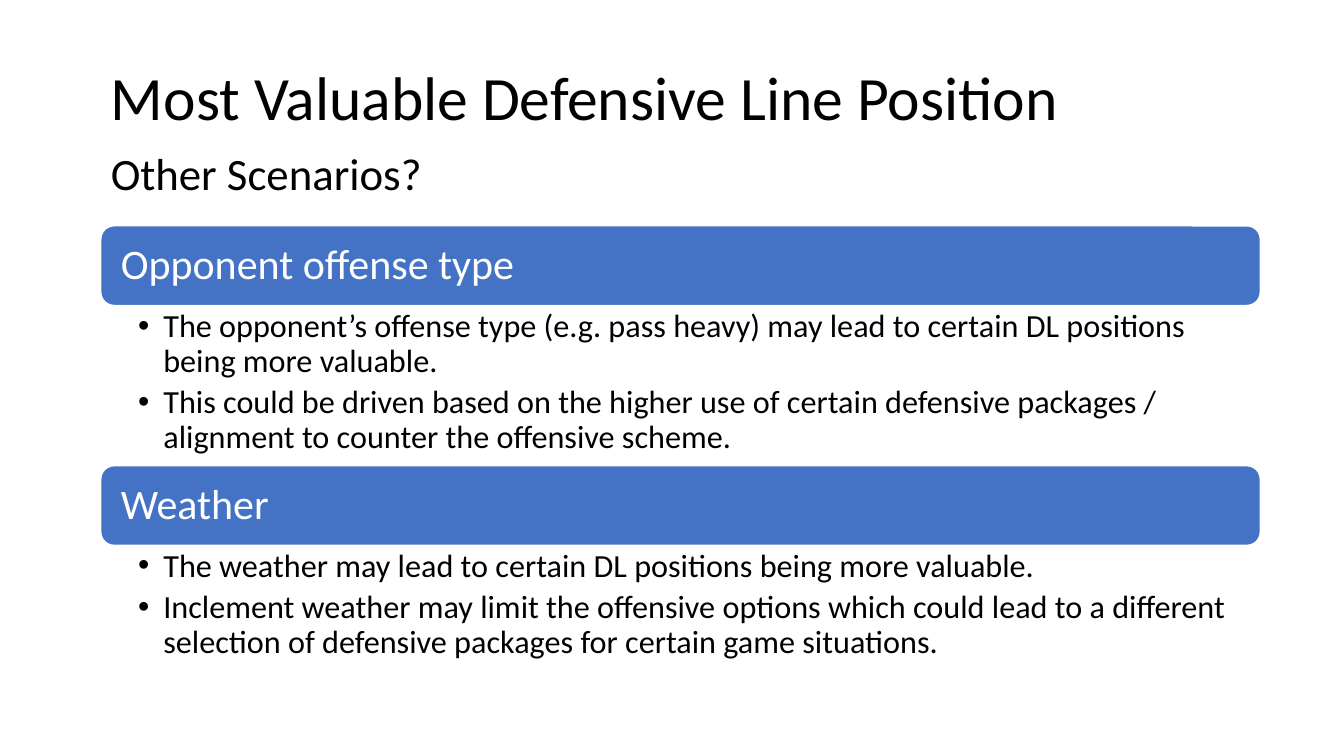
from pptx import Presentation
from pptx.dml.color import RGBColor
from pptx.enum.shapes import MSO_SHAPE
from pptx.enum.text import MSO_ANCHOR, MSO_AUTO_SIZE, PP_ALIGN
from pptx.util import Inches, Pt

ROUNDED = MSO_SHAPE.ROUNDED_RECTANGLE
MIDDLE, TOP = MSO_ANCHOR.MIDDLE, MSO_ANCHOR.TOP
NO_FIT = MSO_AUTO_SIZE.NONE
LEFT_ALIGN = PP_ALIGN.LEFT
TWO_CONTENT = 3
BLACK, WHITE, BLUE = "000000", "FFFFFF", "4472C4"
LEFT, WIDTH, BAR_HEIGHT = 1, 11.5, 0.79

SECTIONS = [
    (2.24, 1.6, "Opponent offense type", [
        "The opponent’s offense type (e.g. pass heavy) may lead to certain DL positions "
        "being more valuable.",
        "This could be driven based on the higher use of certain defensive packages / "
        "alignment to counter the offensive scheme.",
    ]),
    (4.62, 1.22, "Weather", [
        "The weather may lead to certain DL positions being more valuable.",
        "Inclement weather may limit the offensive options which could lead to a different "
        "selection of defensive packages for certain game situations.",
    ]),
]


def color(hex_string):
    """Return the colour for a hex string."""
    return RGBColor.from_string(hex_string)


def place(shape, left, top, width, height):
    """Move and size a shape, in inches."""
    shape.left, shape.top = Inches(left), Inches(top)
    shape.width, shape.height = Inches(width), Inches(height)


def write(shape, lines, size, hex_string, anchor, margins, line_spacing=0.9, space_after=0):
    """Fill a shape with left-aligned paragraphs of one style."""
    frame = shape.text_frame
    frame.text = "\n".join(lines)
    frame.word_wrap = True
    frame.auto_size = NO_FIT
    frame.vertical_anchor = anchor
    horizontal, vertical, right = margins
    frame.margin_left, frame.margin_right = Inches(horizontal), Inches(right)
    frame.margin_top = frame.margin_bottom = Inches(vertical)
    for paragraph in frame.paragraphs:
        paragraph.alignment = LEFT_ALIGN
        paragraph.line_spacing = line_spacing
        paragraph.space_before = Pt(0)
        paragraph.space_after = Pt(space_after)
        paragraph.font.name = "Calibri"
        paragraph.font.size = Pt(size)
        paragraph.font.color.rgb = color(hex_string)


def add_heading(slide, left, top, width):
    """Place the title and the subtitle under it."""
    margins = (0.1, 0.05, 0.1)
    title = slide.shapes.title
    place(title, left, top, width, 1)
    write(title, ["Most Valuable Defensive Line Position"], 44, BLACK, MIDDLE, margins)
    subtitle = slide.shapes.add_textbox(
        Inches(left), Inches(top + 0.9), Inches(3.29), Inches(0.64))
    write(subtitle, ["Other Scenarios?"], 32, BLACK, TOP, margins, line_spacing=1)
    subtitle.text_frame.word_wrap = False


def add_section(slide, body, left, top, width, body_height, heading, bullets):
    """Draw a heading bar with its bullet list below."""
    bar = slide.shapes.add_shape(
        ROUNDED, Inches(left), Inches(top), Inches(width), Inches(BAR_HEIGHT))
    bar.shadow.inherit = False
    bar.fill.solid()
    bar.fill.fore_color.rgb = color(BLUE)
    bar.line.color.rgb = color(WHITE)
    bar.line.width = Pt(1)
    write(bar, [heading], 30, WHITE, MIDDLE, (0.16, 0.12, 0.16))

    place(body, left, top + BAR_HEIGHT, width, body_height)
    write(body, bullets, 23, BLACK, TOP, (0.37, 0.04, 0.23), space_after=5)
    for paragraph in body.text_frame.paragraphs:
        properties = paragraph._p.get_or_add_pPr()
        properties.set("marL", str(Inches(0.25)))
        properties.set("indent", str(Inches(-0.25)))


def main():
    """Build and save the slide."""
    presentation = Presentation()
    presentation.slide_width, presentation.slide_height = Inches(13.33), Inches(7.5)
    slide = presentation.slides.add_slide(presentation.slide_layouts[TWO_CONTENT])
    add_heading(slide, LEFT, 0.5, WIDTH)
    bodies = [slide.placeholders[1], slide.placeholders[2]]
    for body, (top, body_height, heading, bullets) in zip(bodies, SECTIONS):
        add_section(slide, body, LEFT, top, WIDTH, body_height, heading, bullets)
    presentation.save("out.pptx")


if __name__ == "__main__":
    main()
